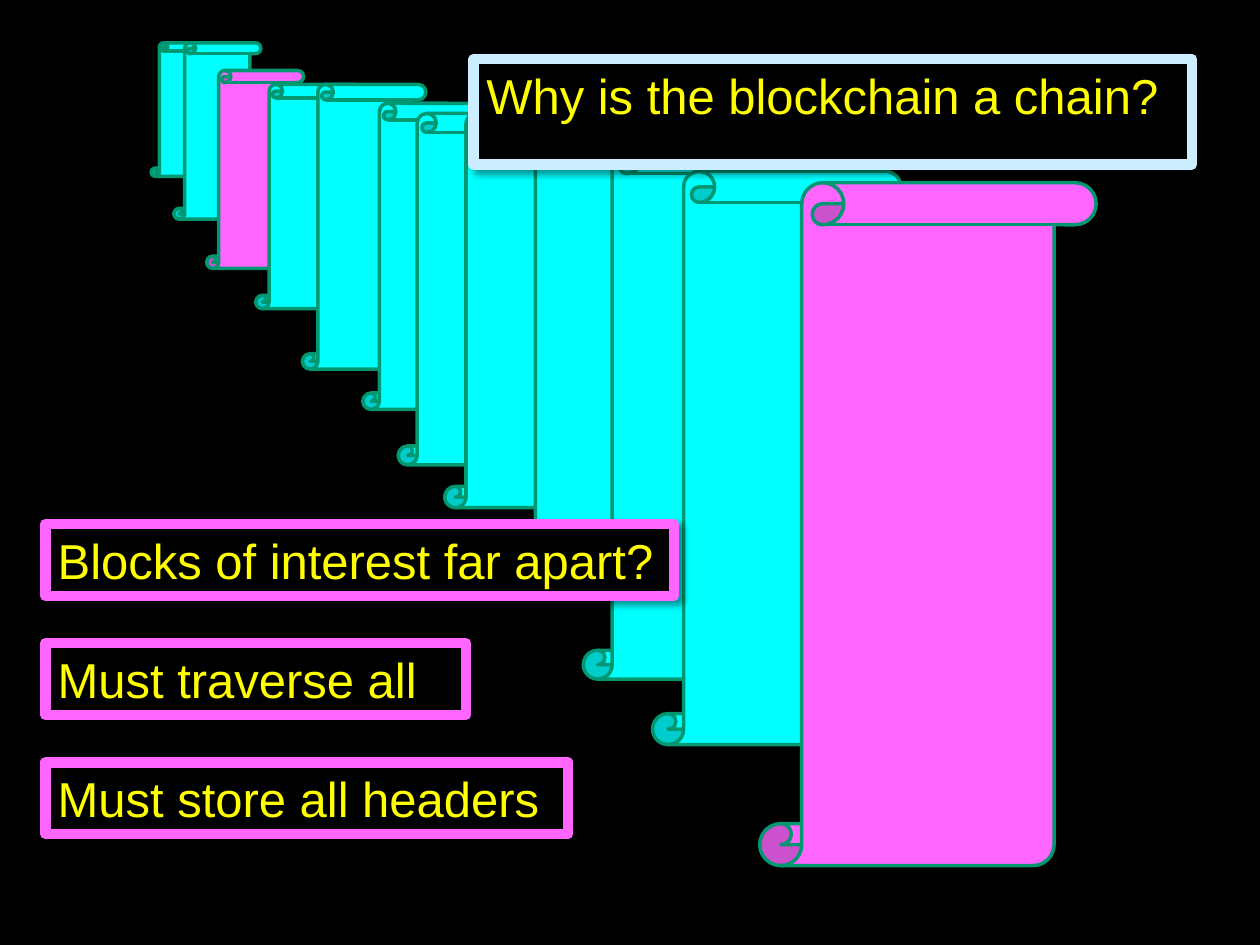
from lxml import etree
from pptx import Presentation
from pptx import util as u
from pptx.dml.color import RGBColor
from pptx.enum import shapes, text
from pptx.oxml.ns import qn

COLORS = {"black": "000000", "cyan": "00FFFF", "pink": "FF66FF",
          "green": "009771", "pale": "CCECFF", "yellow": "FFFF00"}


def paint(shape, fill, line, width):
    shape.shadow.inherit = False
    shape.fill.solid()
    shape.fill.fore_color.rgb = RGBColor.from_string(COLORS[fill])
    shape.line.color.rgb = RGBColor.from_string(COLORS[line])
    shape.line.width = u.Pt(width)


def label(shape, words, size=28, font="Arial", color="yellow", edge="pink"):
    paint(shape, "black", edge, 6)
    # Soft shadow to the lower right
    effects = shape.element.spPr.find(qn("a:effectLst"))
    outer = etree.SubElement(effects, qn("a:outerShdw"), blurRad=str(u.Pt(4)),
                             dist=str(u.Pt(3)), dir=str(45 * 60000),
                             algn="tl", rotWithShape="0")
    shade = etree.SubElement(outer, qn("a:srgbClr"), val=COLORS["black"])
    etree.SubElement(shade, qn("a:alpha"), val="40000")
    # Text
    frame = shape.text_frame
    frame.text = words
    frame.word_wrap = True
    frame.auto_size = text.MSO_AUTO_SIZE.SHAPE_TO_FIT_TEXT
    frame.vertical_anchor = text.MSO_ANCHOR.TOP
    par = frame.paragraphs[0]
    par.alignment = text.PP_ALIGN.LEFT
    par.font.size = u.Pt(size)
    par.font.name = font
    par.font.color.rgb = RGBColor.from_string(COLORS[color])


prs = Presentation()
prs.slide_width, prs.slide_height = u.Inches(10), u.Inches(7.5)
slide = prs.slides.add_slide(prs.slide_layouts[5])
slide.background.fill.solid()
slide.background.fill.fore_color.rgb = RGBColor.from_string(COLORS["black"])

# Chain of blocks, far to near: left, top, width, height
blocks = [
    (1.2, 0.34, 0.52, 1.06), (1.38, 0.34, 0.69, 1.4),
    (1.64, 0.56, 0.77, 1.57), (2.03, 0.67, 0.85, 1.78),
    (2.4, 0.67, 0.98, 2.26), (2.88, 0.82, 1.05, 2.43),
    (3.16, 0.9, 1.21, 2.79), (3.53, 0.9, 1.35, 3.13),
    (4.05, 1.04, 1.59, 3.67), (4.63, 1.15, 1.83, 4.24),
    (5.18, 1.36, 1.97, 4.55), (6.03, 1.45, 2.67, 5.42),
]
marked = {2, len(blocks) - 1}  # the two blocks of interest
for i, place in enumerate(blocks):
    scroll = slide.shapes.add_shape(shapes.MSO_SHAPE.VERTICAL_SCROLL,
                                    *map(u.Inches, place))
    paint(scroll, "pink" if i in marked else "cyan", "green", 2)

# Title, brought in front of the chain
title = slide.shapes.title
title.left, title.top = u.Inches(3.76), u.Inches(0.47)
title.width, title.height = u.Inches(5.7), u.Inches(0.57)
slide.shapes.element.append(title.element)
label(title, "Why is the blockchain a chain?", edge="pale")

# Remarks, evenly spaced down the left
remarks = [("Blocks of interest far apart?", 4.99),
           ("Must traverse all", 3.34),
           ("Must store all headers", 4.15)]
for i, (words, width) in enumerate(remarks):
    box = slide.shapes.add_shape(shapes.MSO_SHAPE.RECTANGLE, u.Inches(0.36),
                                 u.Inches(4.16 + 0.945 * i),
                                 u.Inches(width), u.Inches(0.57))
    label(box, words)

prs.save("out.pptx")
